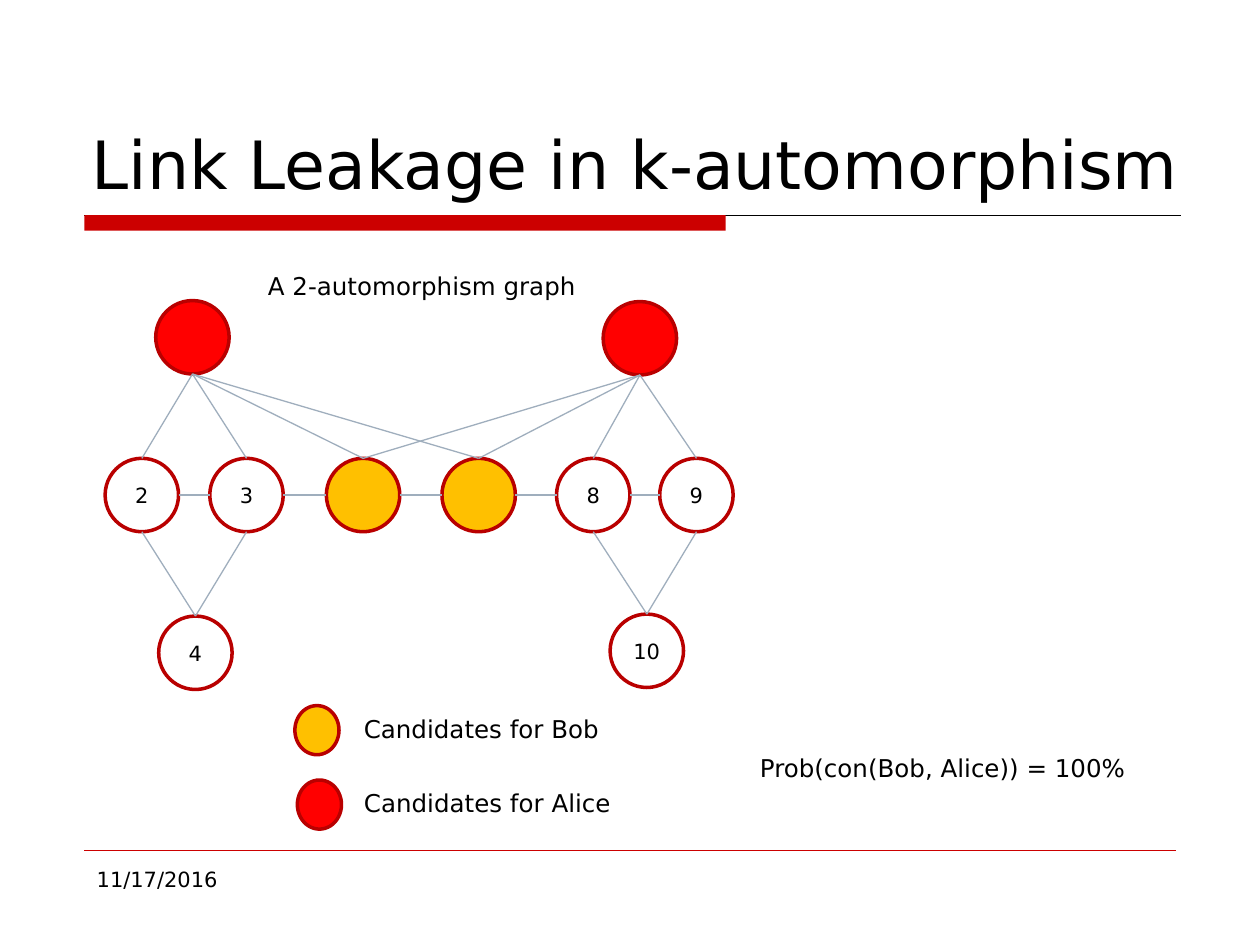
from pptx import Presentation
from pptx.dml.color import RGBColor
from pptx.enum.shapes import MSO_CONNECTOR, MSO_SHAPE
from pptx.enum.text import MSO_ANCHOR, PP_ALIGN
from pptx.oxml.ns import qn
from pptx.util import Cm, Pt
from lxml.etree import SubElement

THEME = {
    "font": "DejaVu Sans",
    "title": 38, "label": 14, "small": 12,
    "ink": "000000", "bar": "CC0000", "rim": "B90000", "edge": "9FAEBD",
    "plain": "FFFFFF", "bob": "FFC000", "alice": "FF0000",
}
SIZE = 1.48  # node diameter, cm

# Lengths in cm. Nodes: name -> (centre x, centre y, fill, label)
NODES = {
    "a1": (3.88, 6.8, "alice", ""),
    "a2": (12.9, 6.82, "alice", ""),
    "n2": (2.86, 9.98, "plain", "2"),
    "n3": (4.97, 9.98, "plain", "3"),
    "b1": (7.32, 9.98, "bob", ""),
    "b2": (9.65, 9.98, "bob", ""),
    "n8": (11.96, 9.98, "plain", "8"),
    "n9": (14.04, 9.98, "plain", "9"),
    "n4": (3.94, 13.16, "plain", "4"),
    "n10": (13.04, 13.12, "plain", "10"),
}
ROW = ["n2", "n3", "b1", "b2", "n8", "n9"]  # each linked to the next
BELOW = {  # upper node -> lower nodes
    "a1": ["n2", "n3", "b1", "b2"],
    "a2": ["b1", "b2", "n8", "n9"],
    "n2": ["n4"], "n3": ["n4"], "n8": ["n10"], "n9": ["n10"],
}
KEYS = [(6.39, 14.72, "bob"), (6.44, 16.22, "alice")]
# text, left, top, width, height, type size, alignment, anchor
TEXTS = [
    ("Link Leakage in k-automorphism", 1.6, 0.84, 22.91, 3.38, "title",
     PP_ALIGN.LEFT, MSO_ANCHOR.BOTTOM),
    ("11/17/2016", 1.7, 17.35, 5.5, 1.32, "small",
     PP_ALIGN.LEFT, MSO_ANCHOR.TOP),
] + [
    (text, left, top, width, 0.86, "label", PP_ALIGN.CENTER, MSO_ANCHOR.TOP)
    for text, left, top, width in [
        ("A 2-automorphism graph", 5.1, 5.33, 6.81),
        ("Candidates for Bob", 6.91, 14.27, 5.59),
        ("Candidates for Alice", 7.03, 15.77, 5.59),
        ("Prob(con(Bob, Alice)) = 100%", 14.7, 15.06, 8.61),
    ]
]


def tint(name):
    return RGBColor.from_string(THEME[name])


def write(shape, text, size, align, anchor):
    frame = shape.text_frame
    frame.word_wrap = True
    frame.vertical_anchor = anchor
    para = frame.paragraphs[0]
    para.text = text
    para.alignment = align
    para.font.name = THEME["font"]
    para.font.size = Pt(THEME[size])
    para.font.color.rgb = tint(ink := "ink")


def add_line(slide, start, end, color, width):
    line = slide.shapes.add_connector(
        MSO_CONNECTOR.STRAIGHT, *(Cm(v) for v in (*start, *end)))
    line.line.color.rgb = tint(color)
    line.line.width = Pt(width)
    SubElement(line._element.spPr, qn("a:effectLst"))


def add_disc(slide, x, y, width, height, fill):
    """Add an ellipse centred on x, y."""
    disc = slide.shapes.add_shape(
        MSO_SHAPE.OVAL, Cm(x - width / 2), Cm(y - height / 2),
        Cm(width), Cm(height))
    disc.shadow.inherit = False
    disc.fill.solid()
    disc.fill.fore_color.rgb = tint(fill)
    disc.line.color.rgb = tint("rim")
    disc.line.width = Pt(2)
    return disc


def add_rules(slide):
    add_line(slide, (1.7, 4.34), (23.8, 4.34), "ink", 0.5)
    bar = slide.shapes.add_shape(
        MSO_SHAPE.RECTANGLE, Cm(1.7), Cm(4.34), Cm(12.93), Cm(0.31))
    bar.shadow.inherit = False
    bar.fill.solid()
    bar.fill.fore_color.rgb = tint("bar")
    bar.line.fill.background()
    add_line(slide, (1.7, 17.15), (23.7, 17.15), "bar", 0.25)


def add_graph(slide):
    for x, y, fill, label in NODES.values():
        disc = add_disc(slide, x, y, SIZE, SIZE, fill)
        if label:
            frame = disc.text_frame
            frame.margin_left = frame.margin_right = 0
            write(disc, label, "small", PP_ALIGN.CENTER, MSO_ANCHOR.MIDDLE)

    def side(name, dx, dy):
        """Give the point on a node's rim in direction dx, dy."""
        x, y = NODES[name][:2]
        return x + dx * SIZE / 2, y + dy * SIZE / 2

    for left, right in zip(ROW, ROW[1:]):
        add_line(slide, side(left, 1, 0), side(right, -1, 0), "edge", 0.75)
    for upper, lowers in BELOW.items():
        for lower in lowers:
            add_line(slide, side(upper, 0, 1), side(lower, 0, -1),
                     "edge", 0.75)


def main():
    deck = Presentation()
    deck.slide_width, deck.slide_height = Cm(25.4), Cm(19.05)
    slide = deck.slides.add_slide(deck.slide_layouts[6])
    add_rules(slide)
    add_graph(slide)
    for x, y, fill in KEYS:
        add_disc(slide, x, y, 0.89, 0.99, fill)
    for text, left, top, width, height, size, align, anchor in TEXTS:
        box = slide.shapes.add_textbox(
            Cm(left), Cm(top), Cm(width), Cm(height))
        write(box, text, size, align, anchor)
    deck.save("out.pptx")


if __name__ == "__main__":
    main()
